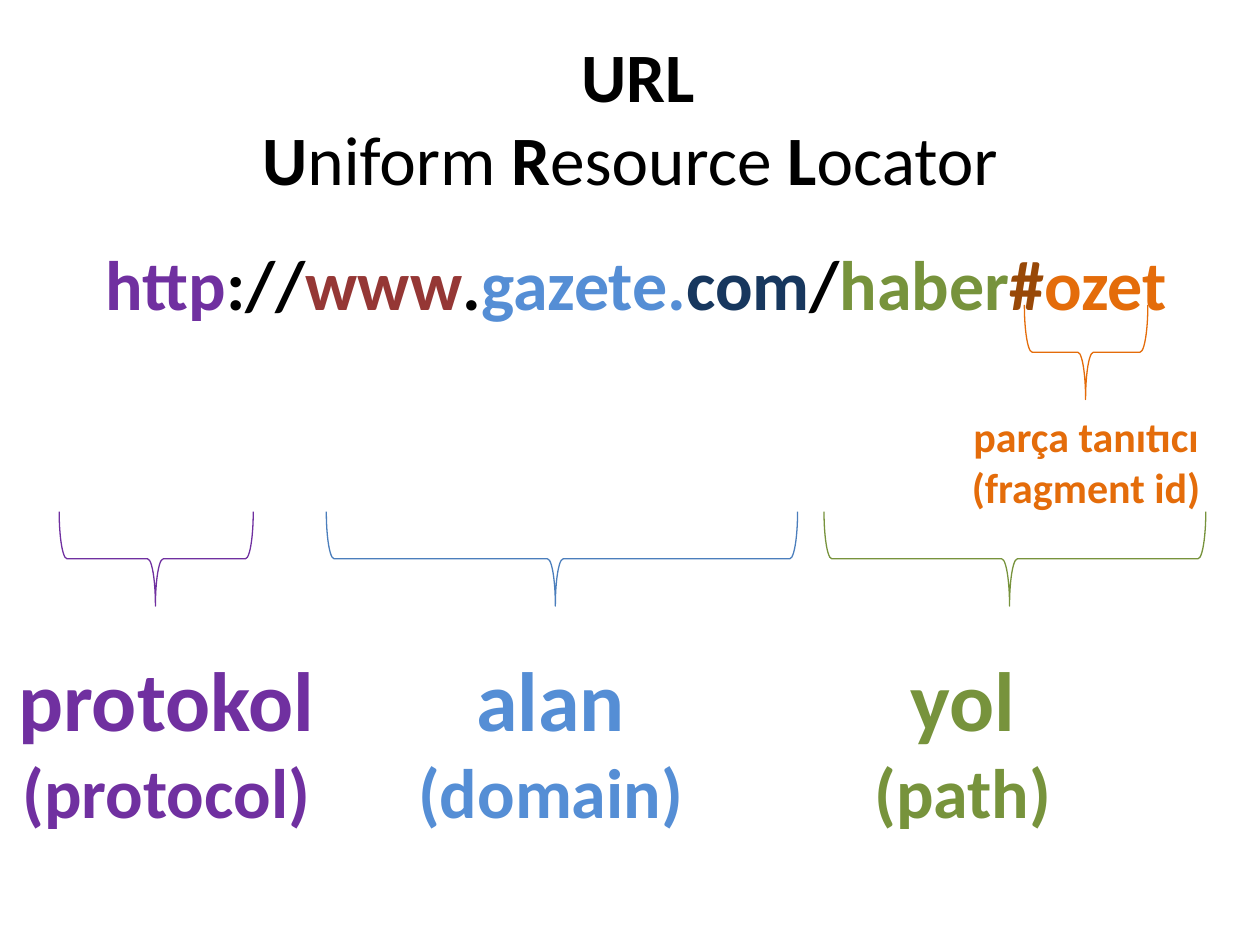
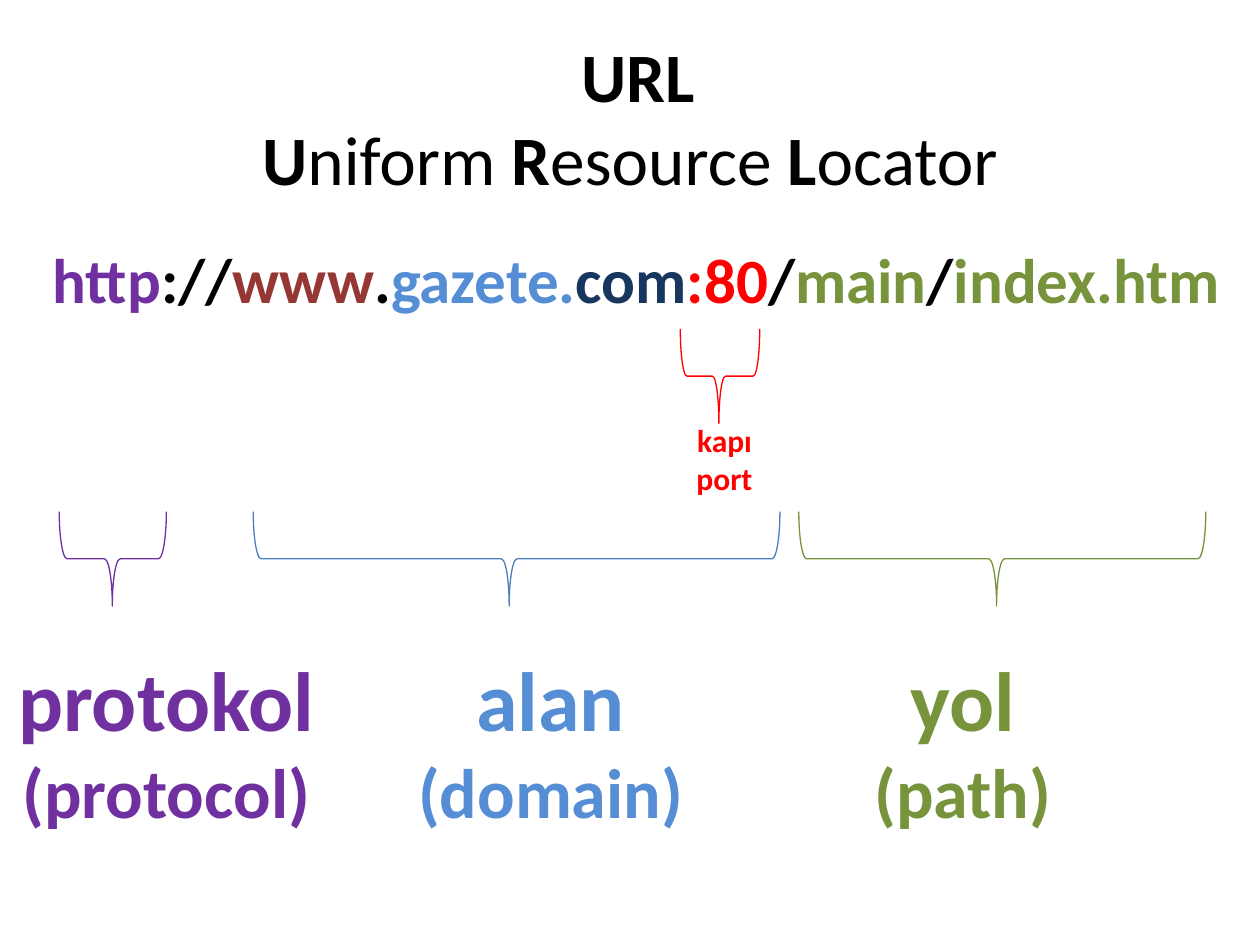
import pptx
import pptx.util
import pptx.dml.color
import pptx.enum.shapes
import pptx.enum.text

Inches, Pt = pptx.util.Inches, pptx.util.Pt
RGB = pptx.dml.color.RGBColor
ANCHOR = pptx.enum.text.MSO_ANCHOR

# Colours, one for each part of the address
BLACK = RGB(0x00, 0x00, 0x00)
PROTOCOL = RGB(0x70, 0x30, 0xA0)
HOST = RGB(0x95, 0x37, 0x35)
DOMAIN = RGB(0x55, 0x8E, 0xD5)
DOMAIN_BRACE = RGB(0x4B, 0x7E, 0xBC)
TOP_LEVEL = RGB(0x17, 0x37, 0x5E)
PATH = RGB(0x77, 0x93, 0x3C)
HASH = RGB(0x98, 0x48, 0x07)
FRAGMENT = RGB(0xE4, 0x6C, 0x0A)
PORT = RGB(0xFF, 0x00, 0x00)

FONT = "Calibri"
BRACE_DEPTH = 0.75
MAIN_BRACE_TOP = 4.06
LABEL_TOP, LABEL_HEIGHT = 5.09, 1.58

# Shared content: title lines as (text, bold), labels as (left, width, lines, colour)
TITLE = [
    [(" ", False), ("URL", True)],
    [("U", True), ("niform ", False), ("R", True), ("esource ", False),
     ("L", True), ("ocator", False)],
]
LABELS = [
    (0.04, 2.56, ("protokol", "(protocol)"), PROTOCOL),
    (2.9, 2.94, ("alan", "(domain)"), DOMAIN),
    (6.54, 2.2, ("yol", "(path)"), PATH),
]
ADDRESS_START = [("http", PROTOCOL), ("://", BLACK), ("www", HOST), (".", BLACK),
                 ("gazete.", DOMAIN), ("com", TOP_LEVEL)]

# Content of each slide; braces are (left, right, tip position, colour)
SLIDES = [
    {
        "address": ADDRESS_START + [("/", BLACK), ("haber", PATH), ("#", HASH),
                                    ("ozet", FRAGMENT)],
        "size": 40,
        "braces": [(0.47, 2.01, 0.496, PROTOCOL), (2.59, 6.33, 0.486, DOMAIN_BRACE),
                   (6.54, 9.57, 0.486, PATH)],
        "detail_brace": (8.13, 9.11, 0.496, FRAGMENT),
        "detail_brace_top": 2.42,
        "detail": ("parça tanıtıcı", "(fragment id)"),
        "detail_box": (7.52, 3.21, 2.2, 0.91),
        "detail_size": 24,
    },
    {
        "address": ADDRESS_START + [(":80", PORT), ("/", BLACK), ("main", PATH),
                                    ("/", BLACK), ("index.htm", PATH)],
        "size": 36,
        "braces": [(0.47, 1.32, 0.496, PROTOCOL), (2.01, 6.19, 0.486, DOMAIN_BRACE),
                   (6.34, 9.57, 0.486, PATH)],
        "detail_brace": (5.4, 6.03, 0.486, PORT),
        "detail_brace_top": 2.61,
        "detail": ("kapı", "port"),
        "detail_box": (5.42, 3.29, 0.66, 0.71),
        "detail_size": 18,
    },
]


def add_text(slide, box, lines, anchor=ANCHOR.TOP, space_before=0):
    """Centred text; each line is a list of (text, size, bold, colour) runs."""
    frame = slide.shapes.add_textbox(*map(Inches, box)).text_frame
    frame.word_wrap = True
    frame.vertical_anchor = anchor
    for number, runs in enumerate(lines):
        paragraph = frame.add_paragraph() if number else frame.paragraphs[0]
        paragraph.alignment = pptx.enum.text.PP_ALIGN.CENTER
        paragraph.space_before = Pt(space_before)
        for text, size, bold, colour in runs:
            run = paragraph.add_run()
            run.text = text
            run.font.name = FONT
            run.font.size = Pt(size)
            run.font.bold = bold
            run.font.color.rgb = colour


def add_brace(slide, top, left, right, tip, colour):
    """A left brace turned so that its tip points down."""
    span = right - left
    brace = slide.shapes.add_shape(
        pptx.enum.shapes.MSO_SHAPE.LEFT_BRACE,
        Inches((left + right - BRACE_DEPTH) / 2),
        Inches(top + (BRACE_DEPTH - span) / 2),
        Inches(BRACE_DEPTH), Inches(span))
    brace.rotation = 270
    brace.adjustments[0] = 0.083
    brace.adjustments[1] = tip
    brace.shadow.inherit = False
    brace.fill.background()
    brace.line.color.rgb = colour
    brace.line.width = Pt(0.75)


deck = pptx.Presentation()
deck.slide_width, deck.slide_height = Inches(10), Inches(7.5)

for content in SLIDES:
    slide = deck.slides.add_slide(deck.slide_layouts[6])

    # Title
    add_text(slide, (0.5, 0.3, 9, 1.25),
             [[(text, 39.6, bold, BLACK) for text, bold in line] for line in TITLE],
             anchor=ANCHOR.MIDDLE)

    # Address
    size = content["size"]
    add_text(slide, (0.2, 1.86, 9.7, 5.42),
             [[(text, size, True, colour) for text, colour in content["address"]]],
             space_before=size * 0.2)

    # Main parts: braces and labels
    for brace in content["braces"]:
        add_brace(slide, MAIN_BRACE_TOP, *brace)
    for left, width, (turkish, english), colour in LABELS:
        add_text(slide, (left, LABEL_TOP, width, LABEL_HEIGHT),
                 [[(turkish, 48, True, colour)], [(english, 40, True, colour)]])

    # Extra part: brace and label right under the address
    add_brace(slide, content["detail_brace_top"], *content["detail_brace"])
    colour = content["detail_brace"][-1]
    add_text(slide, content["detail_box"],
             [[(text, content["detail_size"], True, colour)]
              for text in content["detail"]])

deck.save("out.pptx")
